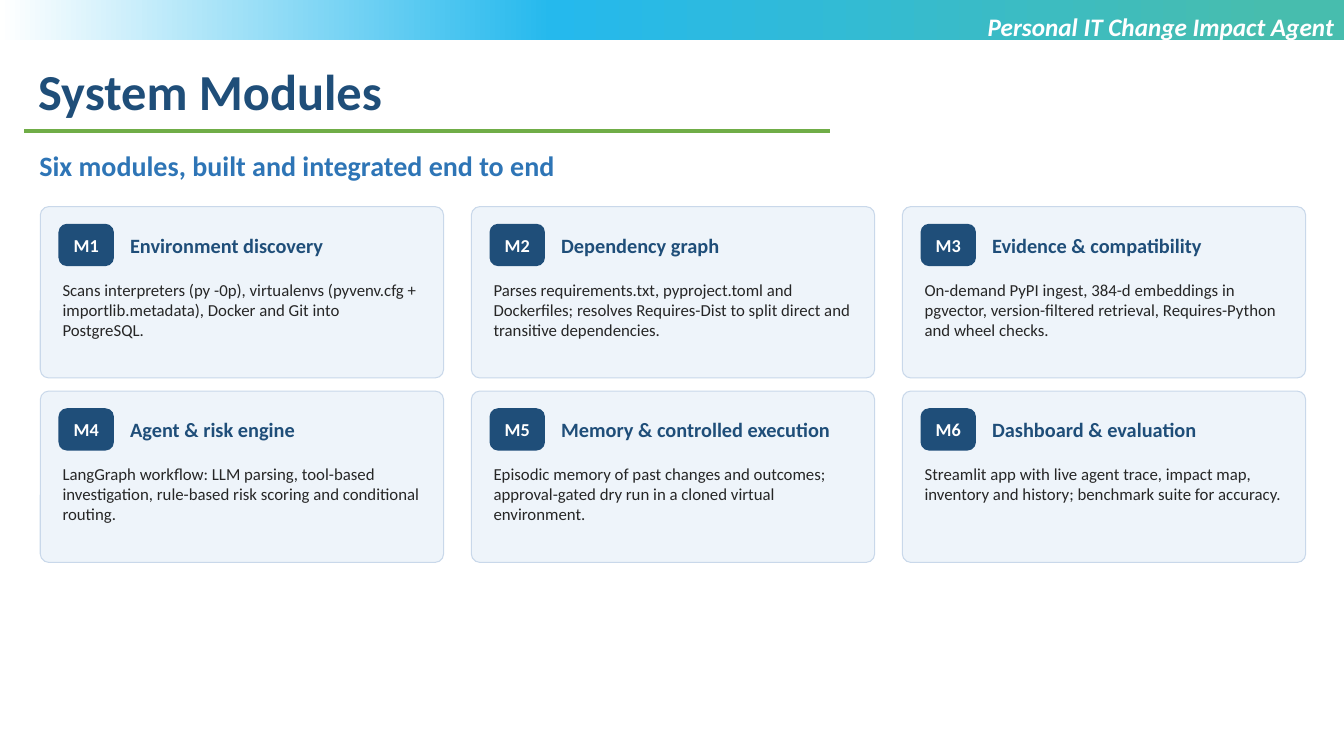
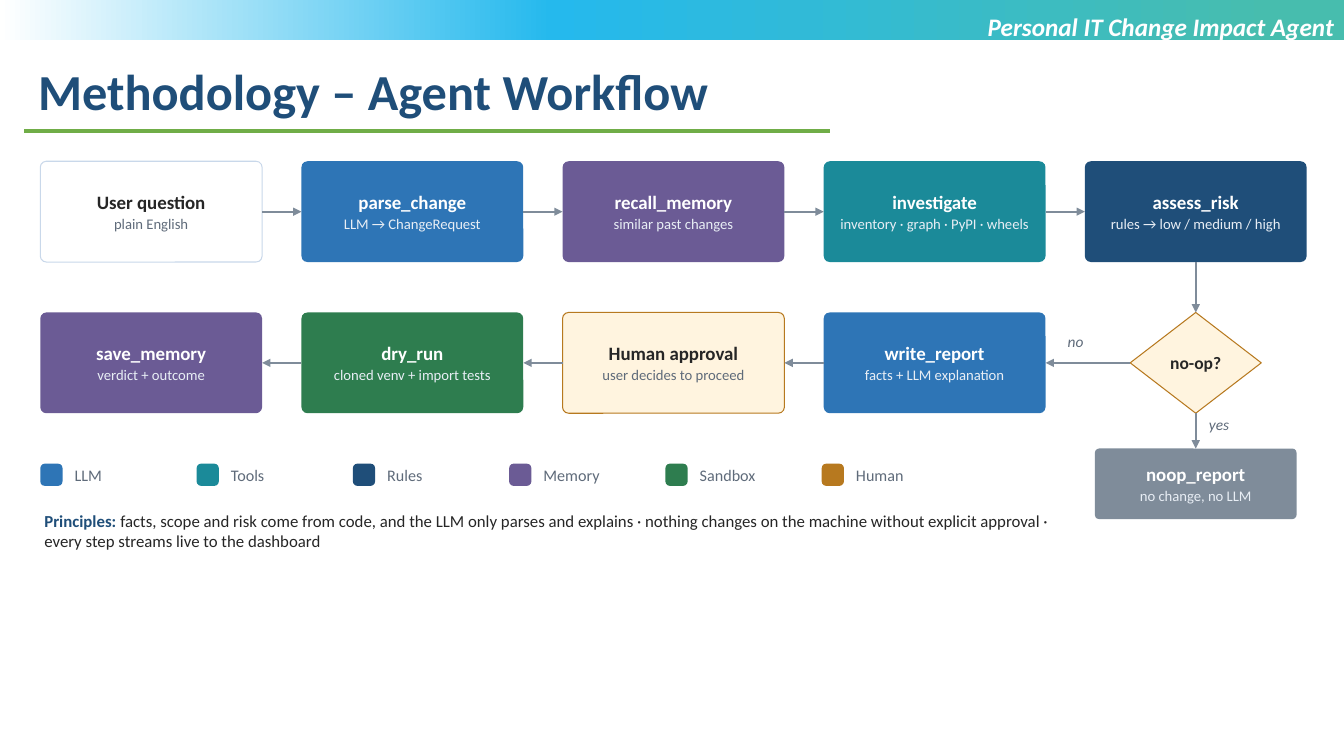
from copy import deepcopy

from lxml import etree
from pptx import Presentation
from pptx import util as u
from pptx.dml.color import RGBColor
from pptx.enum import shapes, text
from pptx.oxml.ns import qn

HUES = {
    "navy": "1F4E79", "blue": "2E75B6", "teal": "1B8A99", "plum": "6B5B95",
    "green": "2E7D4F", "amber": "B7791F", "cream": "FFF4DF", "steel": "7F8C9A",
    "ink": "262626", "slate": "5F6B7A", "mist": "E8EEF5", "ice": "EEF4FA",
    "edge": "C9D8EA", "white": "FFFFFF", "lime": "70AD47", "mint": "47BDAE",
    "sky": "25B9ED",
}
FONT = "Calibri"
TIGHT = (0.04, 0.02)
LOOSE = (0.1, 0.05)
TOP, LEFT, BASE, RIGHT = range(4)
RECT = shapes.MSO_SHAPE.RECTANGLE
ROUND = shapes.MSO_SHAPE.ROUNDED_RECTANGLE
GEM = shapes.MSO_SHAPE.DIAMOND
HEAD = text.PP_ALIGN.LEFT
MID = text.PP_ALIGN.CENTER
TAIL = text.PP_ALIGN.RIGHT


def hue(name):
    return RGBColor.from_string(HUES[name])


def run(words, size, tint, bold=False, slant=False):
    return words, size, tint, bold, slant


class Deck:
    """Holds the shared style and draws on the current slide."""

    def __init__(self):
        self.show = Presentation()
        self.show.slide_width = u.Inches(13.33)
        self.show.slide_height = u.Inches(7.5)
        self.slide = None

    def page(self, title):
        self.slide = self.show.slides.add_slide(self.show.slide_layouts[6])
        self.band()
        self.label((0.28, 0.55, 11.62, 0.71), [run(title, 36, "navy", True)],
                   pad=LOOSE, after=0)
        self.rule((0.24, 1.3), (8.23, 1.3), "lime", 2.25)
        self.label((6.66, 0.06, 6.67, 0.71),
                   [run("Personal IT Change Impact Agent", 18, "white", True, True)],
                   pad=LOOSE, after=0, align=TAIL)

    def band(self):
        bar = self.shape(RECT, (0, 0, 13.33, 0.4), "white")
        bar.fill.gradient()
        bar.fill.gradient_angle = 180
        stops = bar.element.spPr.find(qn("a:gradFill")).find(qn("a:gsLst"))
        stops.append(deepcopy(stops[-1]))
        marks = (("mint", 0.05), ("sky", 0.59), ("white", 1))
        for stop, (tint, place) in zip(bar.fill.gradient_stops, marks):
            stop.color.rgb = hue(tint)
            stop.position = place

    def shape(self, kind, box, fill, edge=None, curve=None):
        item = self.slide.shapes.add_shape(kind, *map(u.Inches, box))
        item.shadow.inherit = False
        item.fill.solid()
        item.fill.fore_color.rgb = hue(fill)
        if edge:
            item.line.color.rgb = hue(edge)
            item.line.width = u.Pt(0.75)
        else:
            item.line.fill.background()
        if curve is not None:
            item.adjustments[0] = curve
        return item

    def letter(self, item, lines, pad, align, mid):
        frame = item.text_frame
        frame.word_wrap = True
        frame.margin_left = frame.margin_right = u.Inches(pad[0])
        frame.margin_top = frame.margin_bottom = u.Inches(pad[1])
        anchor = text.MSO_ANCHOR
        frame.vertical_anchor = anchor.MIDDLE if mid else anchor.TOP
        for rank, (after, runs) in enumerate(lines):
            para = frame.add_paragraph() if rank else frame.paragraphs[0]
            para.alignment = align
            para.space_after = u.Pt(after)
            for words, size, tint, bold, slant in runs:
                part = para.add_run()
                part.text = words
                font = part.font
                font.name, font.size = FONT, u.Pt(size)
                font.bold, font.italic = bold, slant
                font.color.rgb = hue(tint)

    def label(self, box, runs, pad=TIGHT, after=4, align=HEAD, mid=False):
        item = self.slide.shapes.add_textbox(*map(u.Inches, box))
        self.letter(item, [(after, runs)], pad, align, mid)

    def rule(self, start, end, tint, width):
        line = self.slide.shapes.add_connector(
            shapes.MSO_CONNECTOR.STRAIGHT, *map(u.Inches, (*start, *end)))
        line.line.color.rgb = hue(tint)
        line.line.width = u.Pt(width)
        etree.SubElement(line.element.spPr, qn("a:effectLst"))
        return line

    def arrow(self, first, out, last, into):
        line = self.rule((0, 0), (0, 0), "steel", 1.5)
        line.begin_connect(first, out)
        line.end_connect(last, into)
        stroke = line.element.spPr.find(qn("a:ln"))
        etree.SubElement(stroke, qn("a:tailEnd"), type="triangle")

    def card(self, left, top, code, name, words):
        self.shape(ROUND, (left, top, 4, 1.7), "ice", "edge", 0.05)
        badge = self.shape(ROUND, (left + 0.18, top + 0.17, 0.55, 0.42),
                           "navy", curve=0.2)
        self.letter(badge, [(0, [run(code, 13, "white", True)])],
                    (0, 0.05), MID, True)
        self.label((left + 0.85, top + 0.17, 3.05, 0.42),
                   [run(name, 14.5, "navy", True)], mid=True)
        self.label((left + 0.18, top + 0.7, 3.65, 0.95), [run(words, 12, "ink")])

    def node(self, box, name, note, fill, edge=None):
        item = self.shape(ROUND, box, fill, edge, 0.06)
        main, sub = ("ink", "slate") if edge else ("white", "mist")
        lines = [(1, [run(name, 13.5, main, True)]), (4, [run(note, 10.5, sub)])]
        self.letter(item, lines, (0.06, 0.05), MID, True)
        return item

    def key(self, left, name, tint):
        self.shape(ROUND, (left, 4.6, 0.22, 0.22), tint, curve=0.2)
        self.label((left + 0.3, 4.54, 1.2, 0.35), [run(name, 11.5, "slate")],
                   mid=True)


CARDS = (
    ("Environment discovery",
     "Scans interpreters (py -0p), virtualenvs (pyvenv.cfg + importlib.metadata), "
     "Docker and Git into PostgreSQL."),
    ("Dependency graph",
     "Parses requirements.txt, pyproject.toml and Dockerfiles; resolves "
     "Requires-Dist to split direct and transitive dependencies."),
    ("Evidence & compatibility",
     "On-demand PyPI ingest, 384-d embeddings in pgvector, version-filtered "
     "retrieval, Requires-Python and wheel checks."),
    ("Agent & risk engine",
     "LangGraph workflow: LLM parsing, tool-based investigation, rule-based risk "
     "scoring and conditional routing."),
    ("Memory & controlled execution",
     "Episodic memory of past changes and outcomes; approval-gated dry run in a "
     "cloned virtual environment."),
    ("Dashboard & evaluation",
     "Streamlit app with live agent trace, impact map, inventory and history; "
     "benchmark suite for accuracy."),
)
AHEAD = (
    ("User question", "plain English", "white", "edge"),
    ("parse_change", "LLM → ChangeRequest", "blue"),
    ("recall_memory", "similar past changes", "plum"),
    ("investigate", "inventory · graph · PyPI · wheels", "teal"),
    ("assess_risk", "rules → low / medium / high", "navy"),
)
BACK = (
    ("save_memory", "verdict + outcome", "plum"),
    ("dry_run", "cloned venv + import tests", "green"),
    ("Human approval", "user decides to proceed", "cream", "amber"),
    ("write_report", "facts + LLM explanation", "blue"),
)
KEYS = (("LLM", "blue"), ("Tools", "teal"), ("Rules", "navy"),
        ("Memory", "plum"), ("Sandbox", "green"), ("Human", "amber"))


def modules(deck):
    deck.page("System Modules")
    deck.label((0.35, 1.45, 12.6, 0.45),
               [run("Six modules, built and integrated end to end", 20, "blue", True)])
    step = 4 + (12.55 - 3 * 4) / 2
    for rank, (name, words) in enumerate(CARDS):
        row, col = divmod(rank, 3)
        deck.card(0.4 + col * step, 2.05 + row * 1.83, f"M{rank + 1}", name, words)


def workflow(deck):
    deck.page("Methodology – Agent Workflow")
    ahead, back = (
        [deck.node((0.4 + col * 2.59, top, 2.2, 1), *step)
         for col, step in enumerate(steps)]
        for top, steps in ((1.6, AHEAD), (3.1, BACK)))
    gate = deck.shape(GEM, (11.21, 3.1, 1.3, 1), "cream", "amber")
    deck.letter(gate, [(4, [run("no-op?", 12.5, "ink", True)])],
                (0, 0.05), MID, True)
    stop = deck.node((10.86, 4.45, 2, 0.7), "noop_report", "no change, no LLM", "steel")

    for first, last in zip(ahead, ahead[1:]):
        deck.arrow(first, RIGHT, last, LEFT)
    for last, first in zip(back, back[1:] + [gate]):
        deck.arrow(first, LEFT, last, RIGHT)
    for first, last in ((ahead[-1], gate), (gate, stop)):
        deck.arrow(first, BASE, last, TOP)

    for left, top, word in ((10.55, 3.28, "no"), (11.95, 4.1, "yes")):
        deck.label((left, top, 0.5, 0.3), [run(word, 11, "slate", slant=True)])
    for rank, (name, tint) in enumerate(KEYS):
        deck.key(0.4 + rank * 1.55, name, tint)
    deck.label((0.4, 5.05, 10.2, 0.6), [
        run("Principles: ", 12, "navy", True),
        run("facts, scope and risk come from code, and the LLM only parses and "
            "explains · nothing changes on the machine without explicit approval · "
            "every step streams live to the dashboard", 12, "ink")])


def main():
    deck = Deck()
    modules(deck)
    workflow(deck)
    deck.show.save("out.pptx")


if __name__ == "__main__":
    main()
